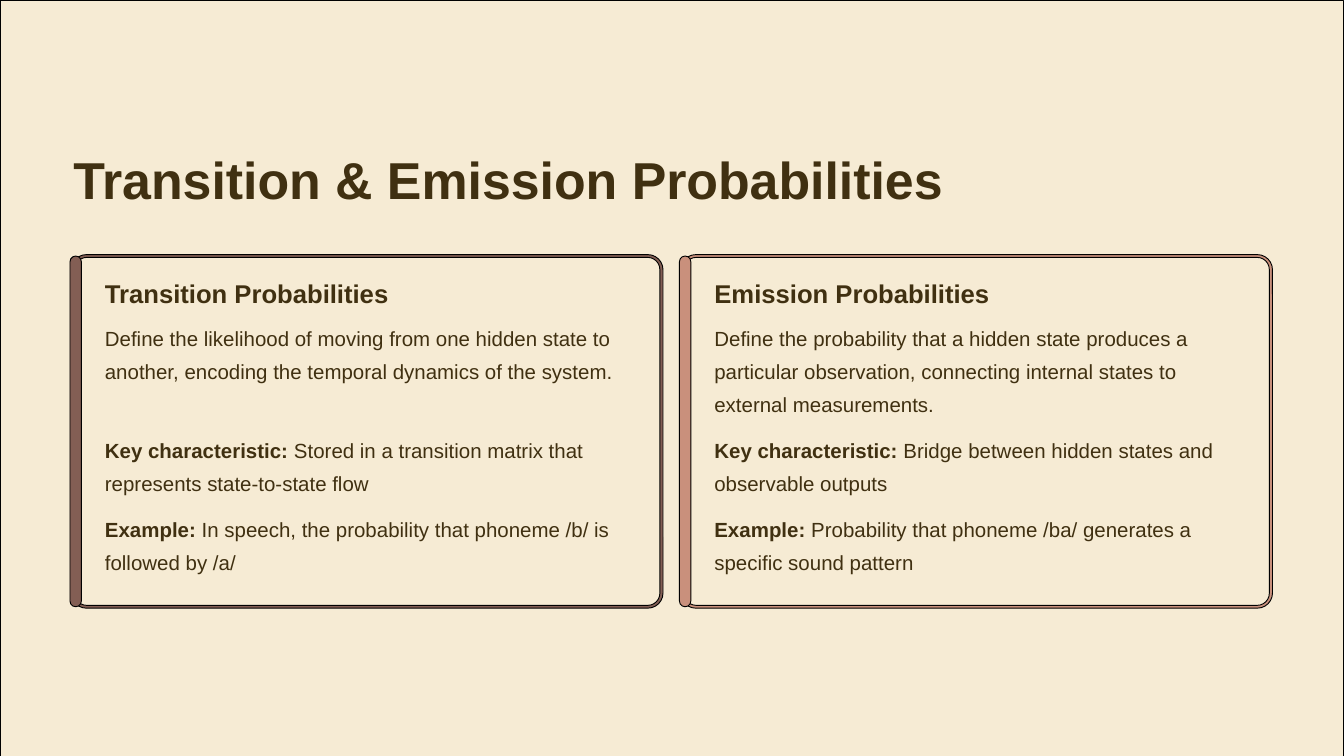
"""Build a slide comparing transition and emission probabilities."""
from pptx import Presentation
from pptx.dml.color import RGBColor
from pptx.enum.shapes import MSO_SHAPE
from pptx.enum.text import MSO_ANCHOR, MSO_AUTO_SIZE, PP_ALIGN
from pptx.util import Pt

RECTANGLE = MSO_SHAPE.RECTANGLE
ROUNDED = MSO_SHAPE.ROUNDED_RECTANGLE
TOP = MSO_ANCHOR.TOP
LEFT = PP_ALIGN.LEFT
NO_AUTOFIT = MSO_AUTO_SIZE.NONE

WIDTH, HEIGHT = 1440, 810
CARD_LEFT, CARD_STEP = 75, 653

CARDS = [
    ("835E54", "Transition Probabilities", [
        ("", "Define the likelihood of moving from one hidden state to another, "
             "encoding the temporal dynamics of the system."),
        ("Key characteristic:", " Stored in a transition matrix that represents state-to-state flow"),
        ("Example:", " In speech, the probability that phoneme /b/ is followed by /a/"),
    ]),
    ("C9907C", "Emission Probabilities", [
        ("", "Define the probability that a hidden state produces a particular "
             "observation, connecting internal states to external measurements."),
        ("Key characteristic:", " Bridge between hidden states and observable outputs"),
        ("Example:", " Probability that phoneme /ba/ generates a specific sound pattern"),
    ]),
]
TEXT_ROWS = [(339.8, 115), (460, 80), (545, 80)]


def color(value):
    return RGBColor.from_string(value)


class SlideBuilder:
    font = "Arial"
    ink = "403011"
    paper = "F6EBD4"
    outline = "000000"

    def __init__(self, page):
        self.page = page

    def panel(self, kind, left, top, width, height, fill, radius=0):
        shape = self.page.shapes.add_shape(kind, Pt(left), Pt(top), Pt(width), Pt(height))
        shape.shadow.inherit = False
        shape.fill.solid()
        shape.fill.fore_color.rgb = color(fill)
        shape.line.color.rgb = color(self.outline)
        shape.line.width = Pt(1)
        if radius:
            shape.adjustments[0] = radius / min(width, height)
        return shape

    def fill_text(self, box, spans, size, spacing):
        frame = box.text_frame
        frame.margin_left = frame.margin_right = 0
        frame.margin_top = frame.margin_bottom = 0
        frame.word_wrap = True
        frame.auto_size = NO_AUTOFIT
        frame.vertical_anchor = TOP
        para = frame.paragraphs[0]
        para.alignment = LEFT
        para.line_spacing = Pt(spacing)
        para.space_before = Pt(0)
        for text, bold in spans:
            span = para.add_run()
            span.text = text
            span.font.name = self.font
            span.font.size = Pt(size)
            span.font.bold = bold
            span.font.color.rgb = color(self.ink)

    def background(self):
        self.page.background.fill.solid()
        self.page.background.fill.fore_color.rgb = color(self.paper)
        border = self.panel(RECTANGLE, 0, 0, WIDTH, HEIGHT, self.paper)
        self.page.shapes.title.element.addprevious(border.element)

    def title(self, text):
        box = self.page.shapes.title
        box.left, box.top, box.width, box.height = Pt(78.5), Pt(155.5), Pt(936), Pt(74)
        self.fill_text(box, [(text, True)], 55.6, 69.4)

    def text(self, left, top, width, height, spans, size, spacing):
        box = self.page.shapes.add_textbox(Pt(left), Pt(top), Pt(width), Pt(height))
        self.fill_text(box, spans, size, spacing)

    def card(self, left, accent, heading, details):
        self.panel(ROUNDED, left + 1.4, 272.8, 634, 378.8, accent, 16.2)
        self.panel(ROUNDED, left + 5, 275.8, 627, 372.8, self.paper, 13)
        self.panel(ROUNDED, left, 274.3, 12.2, 375.8, accent, 6.1)
        self.text(left + 37.4, 296.6, 571, 38, [(heading, True)], 27.5, 34.4)
        for (top, height), (label, body) in zip(TEXT_ROWS, details):
            spans = [(label, True)] if label else []
            self.text(left + 37.4, top, 571, height, spans + [(body, False)], 21.9, 35.6)


def main():
    deck = Presentation()
    deck.slide_width, deck.slide_height = Pt(WIDTH), Pt(HEIGHT)
    builder = SlideBuilder(deck.slides.add_slide(deck.slide_layouts[5]))
    builder.background()
    builder.title("Transition & Emission Probabilities")
    for index, (accent, heading, details) in enumerate(CARDS):
        builder.card(CARD_LEFT + index * CARD_STEP, accent, heading, details)
    deck.save("out.pptx")


if __name__ == "__main__":
    main()
